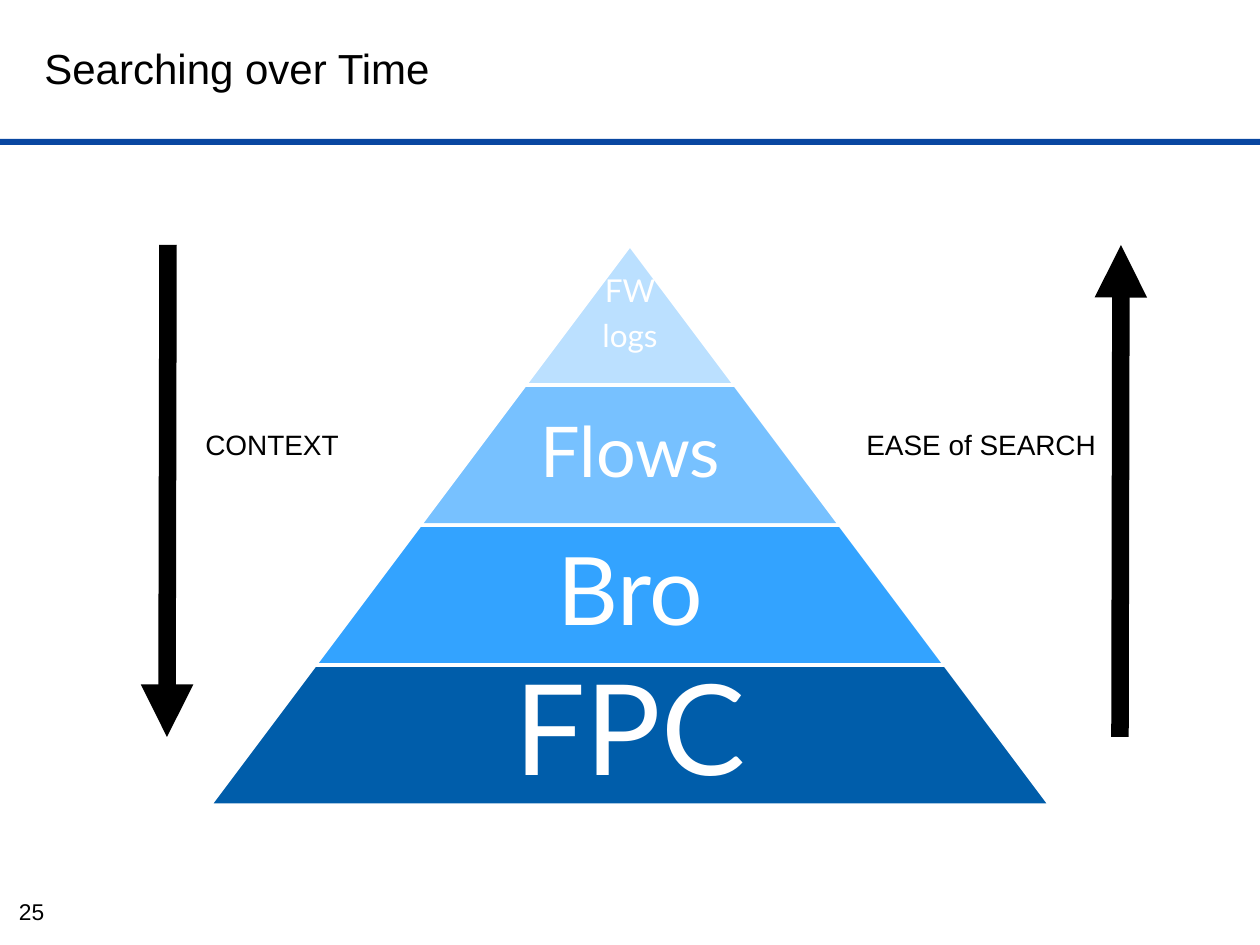
from pptx import Presentation
from pptx.dml.color import RGBColor
from pptx.enum.shapes import MSO_CONNECTOR, MSO_SHAPE
from pptx.enum.text import MSO_ANCHOR as ANCHOR, PP_ALIGN as ALIGN
from pptx.oxml.ns import qn
from pptx.util import Emu, Pt
from lxml import etree

PX = 7258  # EMU per px, 126 px to the inch
COLORS = {
    "rule": "0947A1",
    "black": "000000",
    "white": "FFFFFF",
    "firewall": "BBE0FF",
    "flows": "77C1FF",
    "bro": "33A3FF",
    "capture": "005DAA",
}

presentation = Presentation()
presentation.slide_width = Emu(1260 * PX)
presentation.slide_height = Emu(945 * PX)
slide = presentation.slides.add_slide(presentation.slide_layouts[6])
shapes = slide.shapes


def add_block(kind, left, top, width, height, color):
    shape = shapes.add_shape(kind, *(Emu(n * PX) for n in (left, top, width, height)))
    shape.shadow.inherit = False
    shape.fill.solid()
    shape.fill.fore_color.rgb = RGBColor.from_string(COLORS[color])
    shape.line.fill.background()
    return shape


def add_text(text, left, top, width, height, size, font="Arial", color="black",
             align=ALIGN.LEFT, anchor=ANCHOR.TOP, wrap=True):
    box = shapes.add_textbox(*(Emu(n * PX) for n in (left, top, width, height)))
    frame = box.text_frame
    frame.text = text
    frame.word_wrap = wrap
    frame.vertical_anchor = anchor
    for paragraph in frame.paragraphs:
        paragraph.alignment = align
        for run in paragraph.runs:
            run.font.size = Pt(size)
            run.font.name = font
            run.font.color.rgb = RGBColor.from_string(COLORS[color])
    return frame


# Header and slide number
add_block(MSO_SHAPE.RECTANGLE, 0, 139, 1260, 6, "rule")
add_text("Searching over Time", 32, 10, 924, 116, 24, anchor=ANCHOR.MIDDLE)
add_text("25", 4, 892, 55, 42, 13, align=ALIGN.CENTER, wrap=False)

# Pyramid: each tier is one step wider than the tier above
CENTER, PYRAMID_TOP, TIER_HEIGHT, WIDTH_STEP = 630, 245, 140, 210
tiers = [
    ("FW\nlogs", 18, "firewall"),
    ("Flows", 40, "flows"),
    ("Bro", 54, "bro"),
    ("FPC", 72, "capture"),
]
for index, (label, size, color) in enumerate(tiers):
    top = PYRAMID_TOP + index * TIER_HEIGHT
    width = WIDTH_STEP * (index + 1)
    tier = add_block(MSO_SHAPE.TRAPEZOID, CENTER - width // 2, top, width, TIER_HEIGHT, color)
    tier.adjustments[0] = 0.75
    tier.line.color.rgb = RGBColor.from_string(COLORS["white"])
    tier.line.width = Pt(2)

    text_width = width if index == 0 else width * 65 // 100
    frame = add_text(label, CENTER - text_width // 2, top, text_width, TIER_HEIGHT, size,
                     "Lato", "white", ALIGN.CENTER, ANCHOR.MIDDLE)
    frame.margin_left = frame.margin_right = Pt(size / 10)
    frame.margin_top = frame.margin_bottom = Pt(size / 10)
    for paragraph in frame.paragraphs:
        paragraph.line_spacing = 0.9
        paragraph.space_after = Pt(size * 0.35)

# Arrows on both sides
ARROW_TOP, ARROW_BOTTOM = 245, 737
for top_x, bottom_x, arrow_end in [(168, 167, "a:tailEnd"), (1121, 1120, "a:headEnd")]:
    arrow = shapes.add_connector(
        MSO_CONNECTOR.STRAIGHT,
        *(Emu(n * PX) for n in (top_x, ARROW_TOP, bottom_x, ARROW_BOTTOM)))
    arrow.line.color.rgb = RGBColor.from_string(COLORS["black"])
    arrow.line.width = Pt(10)
    etree.SubElement(arrow.line._get_or_add_ln(), qn(arrow_end), type="triangle")
    etree.SubElement(arrow._element.spPr, qn("a:effectLst"))

for label, left, width in [("CONTEXT", 193, 199), ("EASE of SEARCH", 854, 266)]:
    add_text(label, left, 421, width, 47, 16)

presentation.save("out.pptx")
